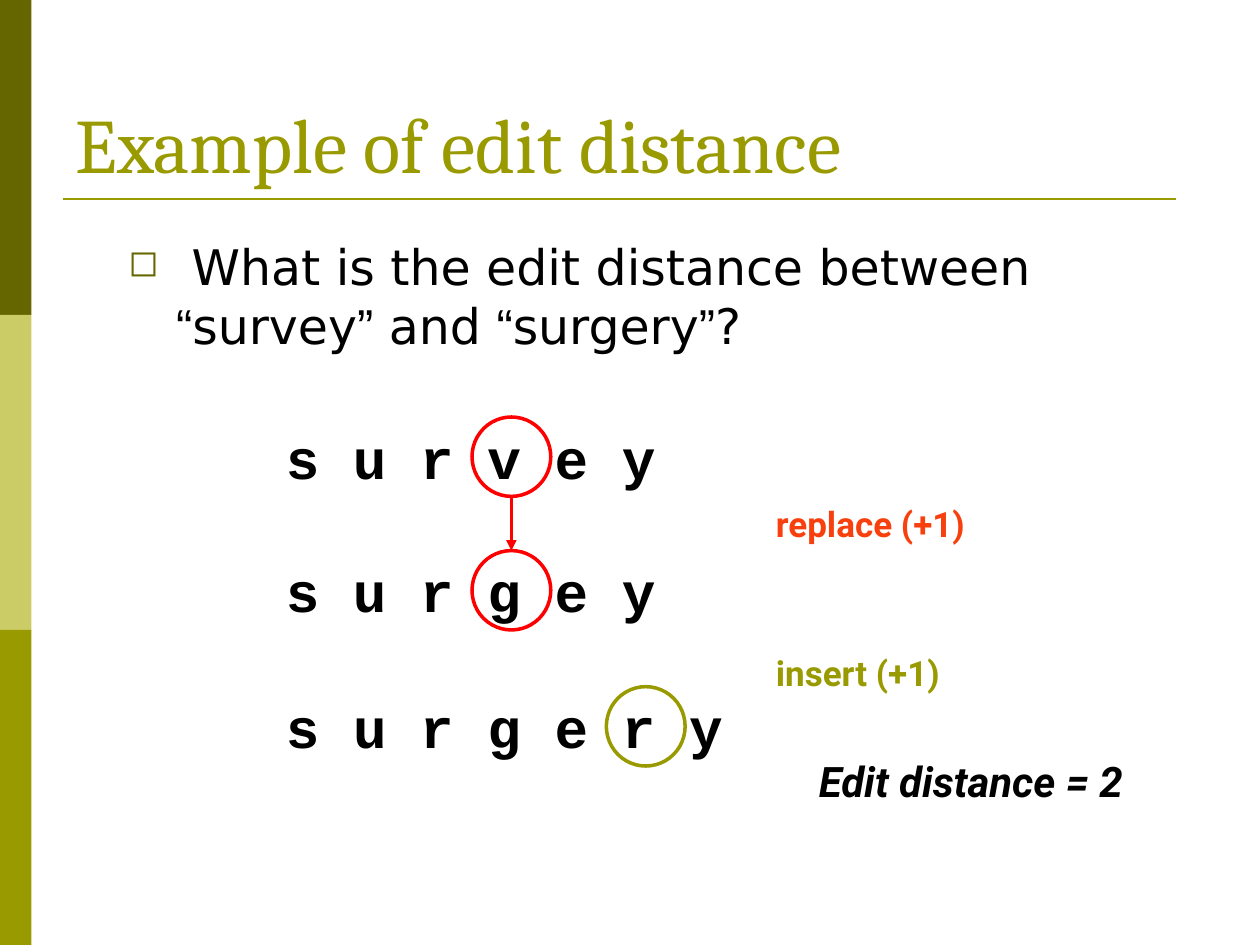
import dataclasses

import pptx
import pptx.dml.color
import pptx.enum.shapes
import pptx.enum.text
import pptx.oxml
import pptx.oxml.ns
import pptx.util

COLS, ROWS = 10, 7.5
BLACK, RED, ORANGE = "000000", "FF0000", "F8400E"
OLIVE, DARK_OLIVE, LIGHT_OLIVE = "999900", "666600", "CCCC66"
WORD_LEFT, WORD_HEIGHT = 2.17, 0.63
FIRST_LETTER, LETTER_PITCH = 2.46, 0.533  # centre of letter 0, step to the next
RING = 0.625
SHAPES = pptx.enum.shapes.MSO_SHAPE

prs = pptx.Presentation()
prs.slide_width, prs.slide_height = pptx.util.Inches(10), pptx.util.Inches(7.5)


@dataclasses.dataclass
class Font:
    name: str
    size: int
    color: str = BLACK
    bold: bool = False
    italic: bool = False


@dataclasses.dataclass
class Word:
    text: str
    row: float
    width: float
    ringed: int
    color: str


@dataclasses.dataclass
class Label:
    text: str
    col: float
    row: float
    width: float
    height: float
    font: Font


WORDS = [
    Word("s u r v e y", 3.31, 3.14, 3, RED),
    Word("s u r g e y", 4.37, 3.14, 3, RED),
    Word("s u r g e r y", 5.45, 3.68, 5, OLIVE),
]
LABELS = [
    Label("replace (+1)", 6.06, 3.94, 1.96, 0.43, Font("Roboto", 20, ORANGE, True)),
    Label("insert (+1)", 6.06, 5.12, 1.74, 0.43, Font("Roboto", 20, OLIVE, True)),
    Label("Edit distance = 2", 6.4, 5.95, 3.35, 0.5, Font("Roboto", 24, BLACK, True, True)),
]
WORD_FONT = Font("Courier New", 32, bold=True)
BODY_FONT, QUOTE_FONT = Font("DejaVu Sans", 28), Font("Arial", 28)
QUESTION = [" What is the edit distance between ", "“", "survey", "”", " and ",
            "“", "surgery", "”", "?"]


def rgb(color: str):
    return pptx.dml.color.RGBColor.from_string(color)


def col(n: float) -> int:
    return round(prs.slide_width * n / COLS)


def row(n: float) -> int:
    return round(prs.slide_height * n / ROWS)


def box(x: float, y: float, w: float, h: float) -> tuple:
    return col(x), row(y), col(w), row(h)


def add_run(p, text: str, font: Font) -> None:
    r = p.add_run()
    r.text = text
    r.font.name, r.font.size = font.name, pptx.util.Pt(font.size)
    r.font.bold, r.font.italic = font.bold, font.italic
    r.font.color.rgb = rgb(font.color)


def add_text(s, place: tuple, text: str, font: Font, wrap: bool = False) -> None:
    tf = s.shapes.add_textbox(*place).text_frame
    tf.word_wrap = wrap
    add_run(tf.paragraphs[0], text, font)


def add_band(s, y: float, color: str) -> None:
    sp = s.shapes.add_shape(SHAPES.RECTANGLE, *box(0, y, 0.25, ROWS / 3))
    sp.shadow.inherit = False
    sp.fill.solid()
    sp.fill.fore_color.rgb = rgb(color)
    sp.line.fill.background()


def add_line(s, x1: float, y1: float, x2: float, y2: float, color: str,
             width: float, arrow: bool = False) -> None:
    line = s.shapes.add_connector(pptx.enum.shapes.MSO_CONNECTOR.STRAIGHT,
                                  col(x1), row(y1), col(x2), row(y2))
    line.line.color.rgb, line.line.width = rgb(color), pptx.util.Pt(width)
    if arrow:
        ln = line.line._get_or_add_ln()
        ln.append(pptx.oxml.parse_xml(
            f'<a:tailEnd {pptx.oxml.ns.nsdecls("a")} type="triangle"/>'))
    line._element.spPr.append(pptx.oxml.parse_xml(
        f'<a:effectLst {pptx.oxml.ns.nsdecls("a")}/>'))


def letter_center(index: int) -> float:
    return FIRST_LETTER + index * LETTER_PITCH


def add_word(s, word: Word) -> None:
    """Spaced-out word with a ring around the edited letter."""
    add_text(s, box(WORD_LEFT, word.row, word.width, WORD_HEIGHT), word.text, WORD_FONT)
    left = letter_center(word.ringed) - RING / 2
    sp = s.shapes.add_shape(SHAPES.OVAL, *box(left, word.row, RING, WORD_HEIGHT))
    sp.shadow.inherit = False
    sp.fill.background()
    sp.line.color.rgb, sp.line.width = rgb(word.color), pptx.util.Pt(2)


def format_title(s) -> None:
    sp = s.shapes.title
    sp.left, sp.top, sp.width, sp.height = box(0.5, 0.3, 9, 1.25)
    tf = sp.text_frame
    tf.auto_size = pptx.enum.text.MSO_AUTO_SIZE.NONE
    tf.vertical_anchor = pptx.enum.text.MSO_ANCHOR.BOTTOM
    p = tf.paragraphs[0]
    p.alignment = pptx.enum.text.PP_ALIGN.LEFT
    add_run(p, "Example of edit distance", Font("Cambria", 44, OLIVE))


def add_question(s) -> None:
    tf = s.shapes.add_textbox(*box(0.92, 1.83, 8.5, 1.2)).text_frame
    tf.word_wrap = True
    p = tf.paragraphs[0]
    p.space_before = pptx.util.Pt(5.6)
    for text in QUESTION:
        add_run(p, text, QUOTE_FONT if text in "“”" else BODY_FONT)
    pPr = p._p.get_or_add_pPr()
    indent = col(0.38)
    pPr.set("marL", str(indent))
    pPr.set("indent", str(-indent))
    ns = pptx.oxml.ns.nsdecls("a")
    for xml in (f'<a:buClr {ns}><a:srgbClr val="{DARK_OLIVE}"/></a:buClr>',
                f'<a:buSzPct {ns} val="75000"/>',
                f'<a:buChar {ns} char="◻"/>'):
        pPr.append(pptx.oxml.parse_xml(xml))


def main() -> None:
    s = prs.slides.add_slide(prs.slide_layouts[5])
    for i, color in enumerate((DARK_OLIVE, LIGHT_OLIVE, OLIVE)):
        add_band(s, i * ROWS / 3, color)
    add_line(s, 0.5, 1.58, 9.33, 1.58, OLIVE, 1.5)
    format_title(s)
    add_question(s)
    for word in WORDS:
        add_word(s, word)
    before, after = WORDS[:2]
    x = letter_center(before.ringed)
    add_line(s, x, before.row + WORD_HEIGHT, x, after.row, RED, 1.75, arrow=True)
    for label in LABELS:
        add_text(s, box(label.col, label.row, label.width, label.height),
                 label.text, label.font)
    prs.save("out.pptx")


if __name__ == "__main__":
    main()
